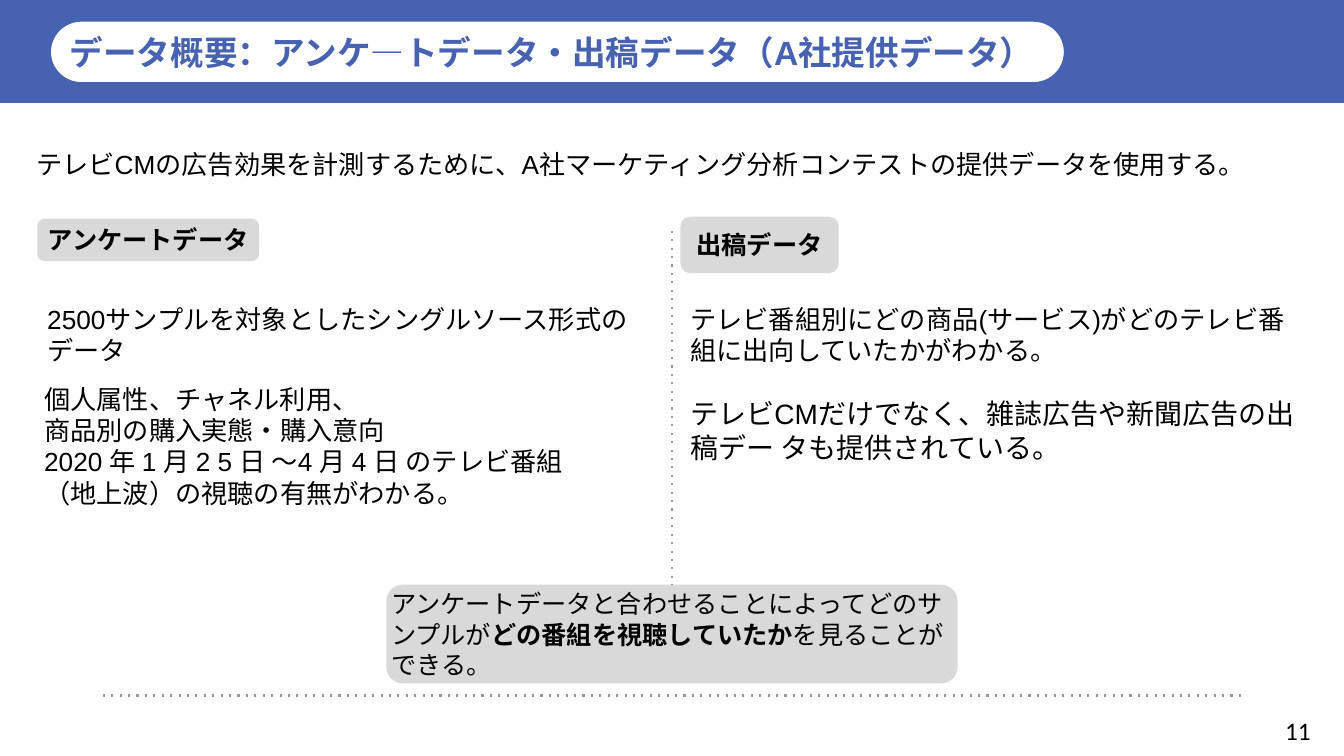
"""Build the data overview slide on a grid of 160 columns by 90 rows."""
import pptx
import pptx.util
import pptx.dml.color
import pptx.enum.shapes
import pptx.enum.text
import pptx.oxml.ns
import lxml.etree

COLORS = {"blue": "4662B0", "white": "FFFFFF", "grey": "D9D9D9", "dots": "999999", "black": "000000"}
RGB = {name: pptx.dml.color.RGBColor.from_string(value) for name, value in COLORS.items()}
SHAPE = pptx.enum.shapes.MSO_SHAPE
ALIGN = pptx.enum.text.PP_ALIGN
ANCHOR = pptx.enum.text.MSO_ANCHOR
AUTO = pptx.enum.text.MSO_AUTO_SIZE

prs = pptx.Presentation()
prs.slide_width = pptx.util.Inches(13.33)
prs.slide_height = pptx.util.Inches(7.5)
s = prs.slides.add_slide(prs.slide_layouts[5])


def grid(*cells):
    """Turn alternating columns and rows into lengths."""
    units = (prs.slide_width / 160, prs.slide_height / 90)
    return [pptx.util.Emu(round(n * units[i % 2])) for i, n in enumerate(cells)]


def style(p, size, color="black", bold=False, font="Arial", align=ALIGN.LEFT):
    """Set the font and alignment of a paragraph."""
    p.alignment = align
    p.font.name = font
    p.font.size = pptx.util.Pt(size)
    p.font.bold = bold
    p.font.color.rgb = RGB[color]


panels = []
for kind, cells, fill in [
    (SHAPE.RECTANGLE, (0, 0, 160, 12.24), "blue"),
    (SHAPE.ROUNDED_RECTANGLE, (5.4, 1.92, 121.92, 8.52), "white"),
    (SHAPE.ROUNDED_RECTANGLE, (4.44, 26.04, 26.4, 5.04), "grey"),
    (SHAPE.ROUNDED_RECTANGLE, (81, 25.8, 18.84, 6.72), "grey"),
    (SHAPE.ROUNDED_RECTANGLE, (46, 69.6, 68, 11.76), "grey"),
]:
    sp = s.shapes.add_shape(kind, *grid(*cells))
    sp.shadow.inherit = False
    sp.fill.solid()
    sp.fill.fore_color.rgb = RGB[fill]
    sp.line.fill.background()
    tf = sp.text_frame
    tf.word_wrap = True
    tf.vertical_anchor = ANCHOR.MIDDLE
    tf.margin_left = tf.margin_top = tf.margin_right = tf.margin_bottom = 0
    panels.append(sp)
band, pill, survey_tag, ads_tag, summary = panels

pill.adjustments[0] = 0.5
pill.line.color.rgb = RGB["blue"]
pill.line.width = pptx.util.Pt(8)

title = s.shapes.title
title.left, title.top, title.width, title.height = pill.left, pill.top, pill.width, pill.height
title.element.getparent().append(title.element)
tf = title.text_frame
tf.auto_size = AUTO.NONE
tf.word_wrap = True
tf.vertical_anchor = ANCHOR.MIDDLE
tf.margin_left = pptx.util.Inches(0.24)
tf.margin_top = tf.margin_right = tf.margin_bottom = 0
tf.text = "データ概要：アンケ―トデータ・出稿データ（A社提供データ）"
style(tf.paragraphs[0], 24, "blue", True)

for tag, label in [(survey_tag, "アンケートデータ"), (ads_tag, "出稿データ")]:
    p = tag.text_frame.paragraphs[0]
    p.text = label
    style(p, 18, bold=True, align=ALIGN.CENTER)

p = summary.text_frame.paragraphs[0]
style(p, 18)
for text, bold in [
    ("アンケートデータと合わせることによってどのサンプルが", False),
    ("どの番組を視聴していたか", True),
    ("を見ることができる。", False),
]:
    r = p.add_run()
    r.text = text
    r.font.bold = bold

for cells, wrap, font, lines in [
    ((3.12, 17.04, 147.72, 5.04), False, "Arial", [
        ("テレビCMの広告効果を計測するために、A社マーケティング分析コンテストの提供データを使用する。", 18.7, 0)]),
    ((81, 35.52, 75.6, 20.64), True, "Arial", [
        ("テレビ番組別にどの商品(サービス)がどのテレビ番組に出向していたかがわかる。", 18.7, 0),
        ("テレビCMだけでなく、雑誌広告や新聞広告の出稿デー タも提供されている。", 20, 22)]),
    ((4.08, 45, 75, 16.32), True, "Arial", [
        ("個人属性、チャネル利用、", 18.7, 0),
        ("商品別の購入実態・購入意向", 18.7, 0),
        ("2020 年 1 月 2 5 日 ～4 月 4 日 のテレビ番組\n（地上波）の視聴の有無がわかる。", 18.7, 0)]),
    ((4.44, 35.52, 73.68, 8.76), True, "Arial", [
        ("2500サンプルを対象としたシングルソース形式のデータ", 18.7, 0)]),
    ((151.8, 84.6, 5.64, 4.8), True, "Calibri", [("11", 18, 0)]),
]:
    tf = s.shapes.add_textbox(*grid(*cells)).text_frame
    tf.word_wrap = wrap
    for i, (text, size, gap) in enumerate(lines):
        p = tf.add_paragraph() if i else tf.paragraphs[0]
        p.text = text
        p.space_before = pptx.util.Pt(gap)
        style(p, size, font=font)

rules = []
for ends in [(12.24, 82.8, 147.72, 82.8), (80, 27.48, 80, 69.6)]:
    c = s.shapes.add_connector(pptx.enum.shapes.MSO_CONNECTOR.STRAIGHT, *grid(*ends))
    c.line.color.rgb = RGB["dots"]
    c.line.width = pptx.util.Pt(1.5)
    qn = pptx.oxml.ns.qn
    ln = c.element.spPr.find(qn("a:ln"))
    lxml.etree.SubElement(ln, qn("a:prstDash")).set("val", "dot")
    lxml.etree.SubElement(c.element.spPr, qn("a:effectLst"))
    rules.append(c)
rules[1].end_connect(summary, 0)

prs.save("out.pptx")
